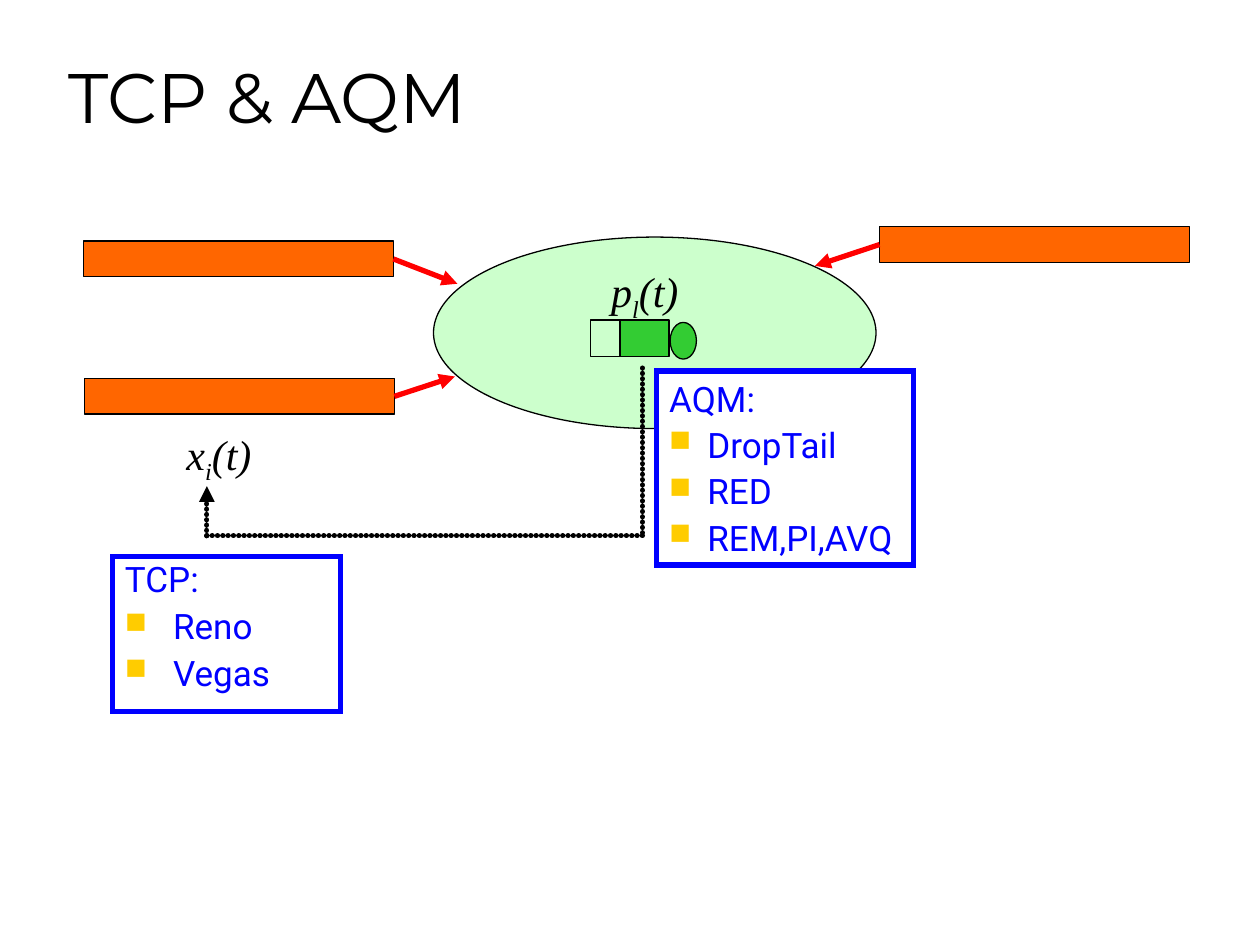
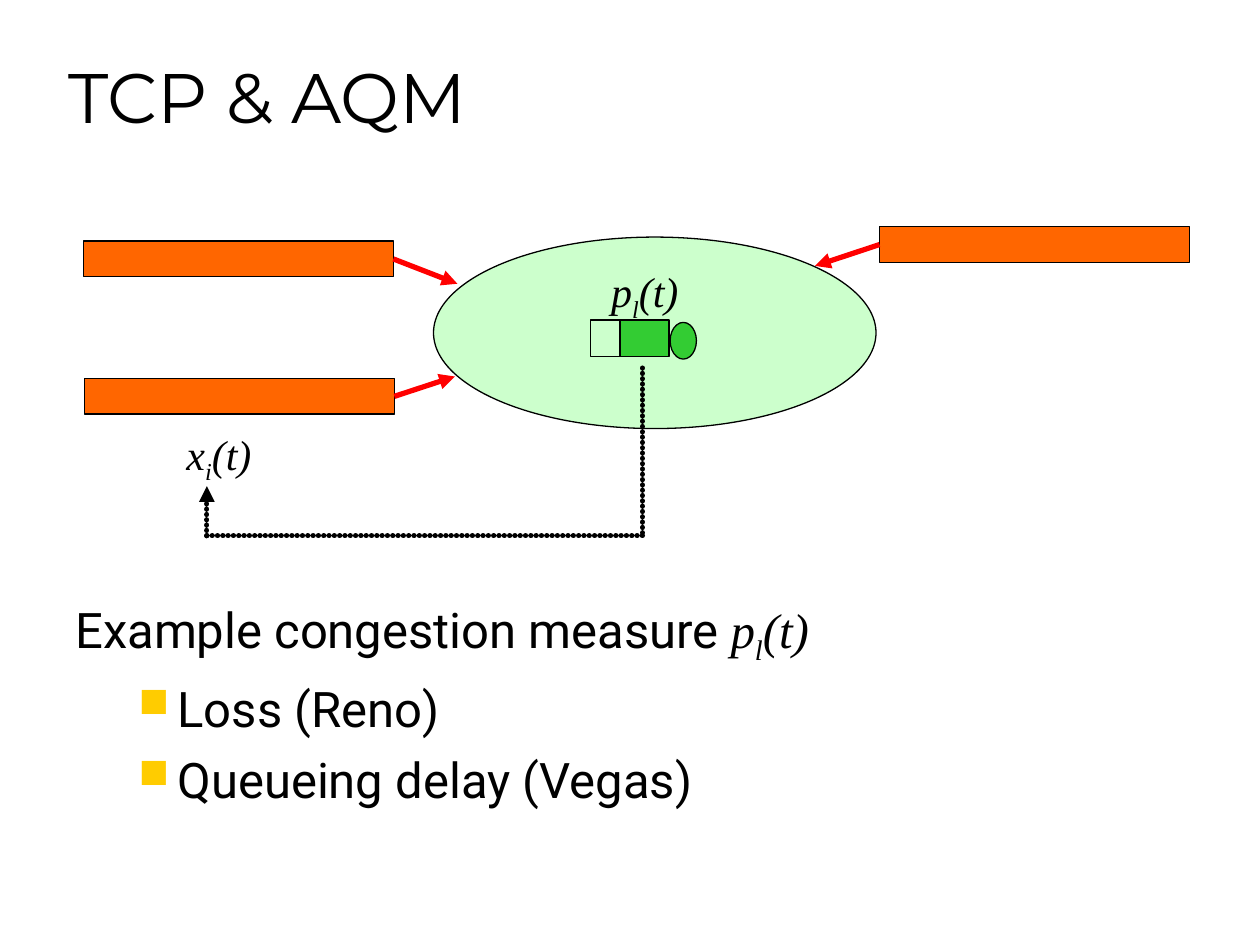
from dataclasses import dataclass
from itertools import pairwise

from lxml.etree import SubElement
from pptx import Presentation
from pptx.dml.color import RGBColor as RGB
from pptx.enum.shapes import MSO_CONNECTOR as CONNECTOR, MSO_SHAPE as SHAPE
from pptx.enum.text import MSO_ANCHOR as ANCHOR, PP_ALIGN as ALIGN
from pptx.oxml.ns import qn
from pptx.util import Cm, Pt


@dataclass(frozen=True)
class Theme:
    black: RGB = RGB(0x00, 0x00, 0x00)
    white: RGB = RGB(0xFF, 0xFF, 0xFF)
    blue: RGB = RGB(0x00, 0x00, 0xFF)
    red: RGB = RGB(0xFF, 0x00, 0x00)
    orange: RGB = RGB(0xFF, 0x66, 0x00)
    cloud: RGB = RGB(0xCC, 0xFF, 0xCC)
    green: RGB = RGB(0x33, 0xCC, 0x33)
    bullet: str = "FFCC00"
    title_font: str = "Montserrat"
    text_font: str = "Roboto"
    formula_font: str = "Times New Roman"
    title_size: Pt = Pt(40)
    body_size: Pt = Pt(28)
    formula_size: Pt = Pt(24)
    box_size: Pt = Pt(20)
    thin: Pt = Pt(0.75)
    thick: Pt = Pt(3)


theme = Theme()


def set_bullet(paragraph, margin, indent):
    """Give the paragraph a square bullet with a hanging indent."""
    properties = paragraph._p.get_or_add_pPr()
    properties.set("marL", str(Cm(margin)))
    properties.set("indent", str(Cm(indent)))
    colour = SubElement(properties, qn("a:buClr"))
    SubElement(colour, qn("a:srgbClr"), val=theme.bullet)
    SubElement(properties, qn("a:buSzPct"), val="85000")
    SubElement(properties, qn("a:buChar"), char="■")


def add_formula(paragraph, symbol, index, size):
    """Append symbol, subscript index and "(t)" in italics."""
    for text, baseline in ((symbol, 0), (index, -25000), ("(t)", 0)):
        run = paragraph.add_run()
        run.text = text
        run.font.name, run.font.size = theme.formula_font, size
        run.font.italic = True
        run.font.color.rgb = theme.black
        if baseline:
            run.font._element.set("baseline", str(baseline))


# Lengths in centimetres: left, top, width, height
network_parts = (
    (SHAPE.OVAL, (8.74, 4.78, 8.92, 3.86), theme.cloud),
    (SHAPE.RECTANGLE, (11.91, 6.45, 1.55, 0.74), None),
    (SHAPE.OVAL, (13.51, 6.5, 0.53, 0.74), theme.green),
    (SHAPE.RECTANGLE, (12.5, 6.45, 0.99, 0.74), theme.green),
)
# Left and top of a source, the side its arrow leaves from, the arrow tip
source_size = (6.25, 0.72)
sources = (
    ((1.68, 4.86), 3, (9.22, 5.72)),
    ((17.73, 4.57), 1, (16.43, 5.36)),
    ((1.7, 7.63), 3, (9.17, 7.59)),
)
formulas = (
    ("x", "i", (3.51, 8.51, 2.1, 1.42)),
    ("p", "l", (12.07, 5.23, 2.1, 1.42)),
)
feedback_path = ((12.95, 7.42), (12.95, 10.8), (4.17, 10.8), (4.17, 9.8))
# Heading, its line spacing, items, text margin, place
algorithm_boxes = (
    ("TCP:", 0.9, ("Reno", "Vegas"), 0.97, (2.27, 11.22, 4.6, 3.12)),
    ("AQM:", 1.0, ("DropTail", "RED", "REM,PI,AVQ"), 0.77, (13.24, 7.48, 5.18, 3.91)),
)

presentation = Presentation()
presentation.slide_width, presentation.slide_height = Cm(25.4), Cm(19.05)
slides = [presentation.slides.add_slide(presentation.slide_layouts[5]) for _ in range(2)]

# Title and network diagram, the same on both slides
for slide in slides:
    title = slide.shapes.title
    title.left, title.top, title.width, title.height = map(Cm, (1.12, 0.64, 21.59, 2.26))
    title.text_frame.text = "TCP & AQM"
    title.text_frame.vertical_anchor = ANCHOR.BOTTOM
    paragraph = title.text_frame.paragraphs[0]
    paragraph.alignment = ALIGN.LEFT
    paragraph.font.name, paragraph.font.size = theme.title_font, theme.title_size
    paragraph.font.color.rgb = theme.black

    source_parts = [(SHAPE.RECTANGLE, corner + source_size, theme.orange) for corner, _, _ in sources]
    diagram = []
    for kind, place, fill in (*network_parts, *source_parts):
        shape = slide.shapes.add_shape(kind, *map(Cm, place))
        shape.shadow.inherit = False
        if fill is None:
            shape.fill.background()
        else:
            shape.fill.solid()
            shape.fill.fore_color.rgb = fill
        shape.line.color.rgb, shape.line.width = theme.black, theme.thin
        diagram.append(shape)

    # Each line: start, end, colour, dotted, arrowhead, joined shape and side
    lines = [
        (tip, tip, theme.red, False, True, (shape, side))
        for (_, side, tip), shape in zip(sources, diagram[len(network_parts):])
    ]
    lines += [
        (start, end, theme.black, True, end == feedback_path[-1], None)
        for start, end in pairwise(feedback_path)
    ]
    for start, end, colour, dotted, arrow, joint in lines:
        line = slide.shapes.add_connector(CONNECTOR.STRAIGHT, *map(Cm, start + end))
        if joint:
            line.begin_connect(*joint)
        line.line.color.rgb, line.line.width = colour, theme.thick
        outline = line.line._get_or_add_ln()
        if dotted:
            outline.set("cap", "rnd")
            dashes = SubElement(outline, qn("a:custDash"))
            SubElement(dashes, qn("a:ds"), d="100000", sp="1000")
        if arrow:
            SubElement(outline, qn("a:tailEnd"), type="triangle")
        SubElement(line._element.spPr, qn("a:effectLst"))

    for symbol, index, place in formulas:
        label = slide.shapes.add_textbox(*map(Cm, place))
        label.text_frame.word_wrap = True
        paragraph = label.text_frame.paragraphs[0]
        paragraph.space_before = Pt(6)
        add_formula(paragraph, symbol, index, theme.formula_size)

# Slide 1: algorithms at the source and at the link
for heading, heading_spacing, items, margin, place in algorithm_boxes:
    box = slides[0].shapes.add_shape(SHAPE.RECTANGLE, *map(Cm, place))
    box.shadow.inherit = False
    box.fill.solid()
    box.fill.fore_color.rgb = theme.white
    box.line.color.rgb, box.line.width = theme.blue, theme.thick
    SubElement(box.line._get_or_add_ln(), qn("a:miter"), lim="800000")
    box.text_frame.vertical_anchor = ANCHOR.TOP
    box.text_frame.word_wrap = True
    box.text_frame.text = "\n".join((heading, *items))
    for paragraph in box.text_frame.paragraphs:
        paragraph.alignment = ALIGN.LEFT
        paragraph.line_spacing, paragraph.space_before = 0.9, Pt(5)
        paragraph.font.name, paragraph.font.size = theme.text_font, theme.box_size
        paragraph.font.color.rgb = theme.blue
    box.text_frame.paragraphs[0].line_spacing = heading_spacing
    for paragraph in box.text_frame.paragraphs[1:]:
        set_bullet(paragraph, margin, -margin)

# Slide 2: examples of the congestion measure
body = slides[1].shapes.add_textbox(*map(Cm, (1.27, 11.96, 23.09, 6.38)))
body.text_frame.word_wrap = True
body.text_frame.text = "Example congestion measure \nLoss (Reno)\nQueueing delay (Vegas)"
for paragraph in body.text_frame.paragraphs:
    paragraph.space_before = Pt(7)
    paragraph.font.name, paragraph.font.size = theme.text_font, theme.body_size
    paragraph.font.color.rgb = theme.black
add_formula(body.text_frame.paragraphs[0], "p", "l", theme.body_size)
for paragraph in body.text_frame.paragraphs[1:]:
    set_bullet(paragraph, 2.06, -0.79)

presentation.save("out.pptx")
